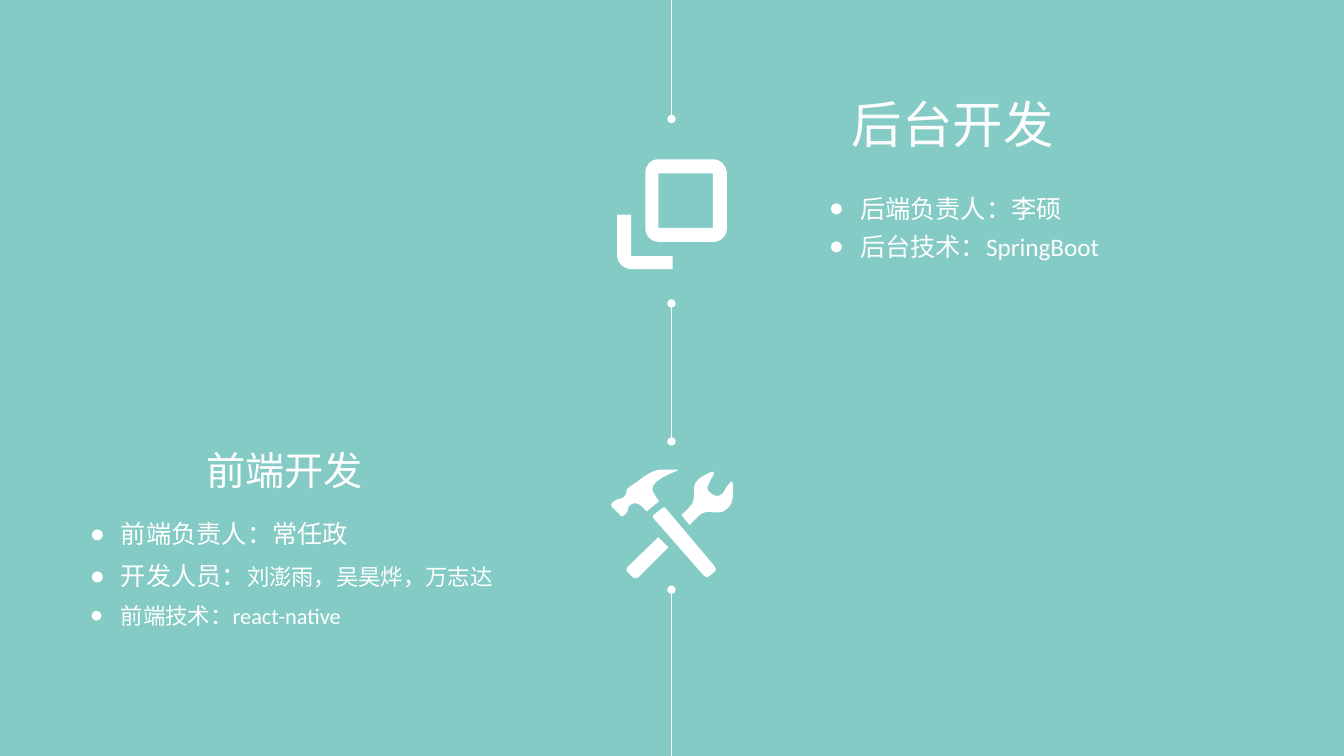
from pptx import Presentation, util as u
from pptx.dml.color import RGBColor
from pptx.enum import shapes, text
from pptx.oxml import parse_xml
from pptx.oxml.ns import nsdecls, qn
from lxml import etree

TEAL, WHITE, OFF_WHITE = "84CBC5", "FFFFFF", "FCFCFC"
AXIS_X = 6.66

# Icon outlines in hundredths of an inch: pairs are corners, sixes are curves
WINDOWS_ICON = [
    [(95, 0), (41, 0), (33, 0, 28, 6, 28, 14), (28, 68), (28, 76, 34, 82, 41, 82),
     (95, 82), (103, 82, 109, 76, 109, 68), (109, 14), (109, 7, 103, 0, 95, 0)],
    [(95, 68), (41, 68), (41, 14), (95, 14)],
    [(14, 55), (0, 55), (0, 96), (0, 103, 7, 109, 14, 109), (55, 109), (55, 96), (14, 96)],
]
TOOLS_ICON = [
    # Hammer head
    [(19, 35), (24, 31, 29, 34, 35, 41), (36, 42, 37, 41, 37, 40), (47, 32),
     (47, 32, 48, 31, 47, 30), (47, 30, 44, 27, 43, 24), (32, 10, 73, 0, 66, 0), (48, 0),
     (40, 1, 31, 8, 26, 12), (19, 16, 17, 19, 16, 19), (15, 21, 16, 24, 13, 27),
     (9, 30, 7, 28, 5, 30), (1, 33), (0, 34, 0, 35, 0, 36), (9, 45),
     (9, 46, 11, 47, 12, 46), (13, 45, 16, 43, 16, 42), (17, 42, 16, 37, 19, 35)],
    # Hammer handle
    [(54, 38), (53, 37, 52, 37, 51, 38), (42, 45), (42, 46, 41, 47, 42, 48), (92, 105),
     (94, 107, 96, 107, 97, 106), (103, 101), (104, 100, 105, 98, 103, 96)],
    # Wrench head
    [(121, 14), (120, 11, 119, 11, 118, 13), (117, 14, 113, 19, 112, 22),
     (110, 24, 107, 29, 100, 24), (93, 19, 96, 16, 97, 14), (98, 11, 102, 5, 102, 4),
     (103, 3, 102, 1, 100, 2), (98, 3, 85, 8, 83, 15), (81, 23, 85, 30, 78, 37), (70, 45),
     (78, 55), (88, 45), (90, 43, 95, 41, 100, 42), (110, 44, 116, 40, 119, 34),
     (122, 28, 121, 17, 121, 14)],
    # Wrench handle
    [(16, 97), (15, 98, 15, 100, 16, 101), (22, 107), (23, 108, 25, 108, 27, 107),
     (57, 77), (47, 67)],
]


def rgb(value):
    return RGBColor.from_string(value)


def place(sp, box):
    sp.left, sp.top, sp.width, sp.height = (u.Inches(v) for v in box)


def add_run(p, words, size, color=WHITE, font="Calibri"):
    r = p.add_run()
    r.text = words
    r.font.size, r.font.name = u.Pt(size), font
    r.font.color.rgb = rgb(color)


def add_heading(sp, box, words, size, color, font, align):
    place(sp, box)
    tf = sp.text_frame
    tf.word_wrap, tf.auto_size = True, text.MSO_AUTO_SIZE.NONE
    tf.vertical_anchor = text.MSO_ANCHOR.MIDDLE
    tf.paragraphs[0].alignment = align
    add_run(tf.paragraphs[0], words, size, color, font)


def add_list(sp, box, items, gap):
    """Fill a body placeholder; each item is a list of run arguments."""
    place(sp, box)
    tf = sp.text_frame
    tf.auto_size = text.MSO_AUTO_SIZE.NONE
    for i, runs in enumerate(items):
        p = tf.paragraphs[0] if i == 0 else tf.add_paragraph()
        p.line_spacing, p.space_before = 1.25, u.Pt(gap)
        pPr = p._p.get_or_add_pPr()
        pPr.set("marL", str(u.Inches(0.31)))
        pPr.set("indent", str(-u.Inches(0.31)))
        pPr.append(parse_xml('<a:buChar %s char="●"/>' % nsdecls("a")))
        for run in runs:
            add_run(p, *run)


def add_axis(s, top, bottom, **dots):
    """Draw a vertical line; dots names the ends (headEnd, tailEnd)."""
    line = s.shapes.add_connector(shapes.MSO_CONNECTOR.STRAIGHT, u.Inches(AXIS_X),
                                  u.Inches(top), u.Inches(AXIS_X), u.Inches(bottom))
    line.line.color.rgb, line.line.width = rgb(WHITE), u.Pt(0.75)
    ln = line.line._get_or_add_ln()
    for end, kind in dots.items():
        etree.SubElement(ln, qn("a:" + end), type=kind)
    etree.SubElement(line._element.spPr, qn("a:effectLst"))


def bend(sp, outlines, unit):
    """Turn the straight segments that stand for curves into cubic curves."""
    segments = list(sp._element.iter(qn("a:lnTo")))
    parts = [part for outline in outlines for part in outline[1:]]
    for segment, part in zip(segments, parts):
        if len(part) == 6:
            segment.tag = qn("a:cubicBezTo")
            for i, k in enumerate((0, 2)):
                pt = etree.Element(qn("a:pt"), x=str(part[k] * unit), y=str(part[k + 1] * unit))
                segment.insert(i, pt)


def add_icon(s, left, top, outlines):
    unit = u.Inches(0.01)
    builder = None
    for outline in outlines:
        points = [(part[-2] * unit, part[-1] * unit) for part in outline]
        if builder is None:
            builder = s.shapes.build_freeform(*points[0])
        else:
            builder.move_to(*points[0])
        builder.add_line_segments(points[1:], close=True)
    sp = builder.convert_to_shape(u.Inches(left), u.Inches(top))
    bend(sp, outlines, unit)
    sp.shadow.inherit = False
    sp.fill.solid()
    sp.fill.fore_color.rgb = rgb(WHITE)
    sp.line.fill.background()


def add_timeline(s):
    add_axis(s, 0, 1.18, tailEnd="oval")
    add_axis(s, 3.01, 4.38, headEnd="oval", tailEnd="oval")
    add_axis(s, 5.85, 7.5, headEnd="oval")
    add_icon(s, 6.12, 1.58, WINDOWS_ICON)
    add_icon(s, 6.06, 4.66, TOOLS_ICON)


def add_backend(s, left, top):
    add_heading(s.shapes.title, (left + 0.23, top - 0.01, 2.52, 0.71), "后台开发", 36,
                OFF_WHITE, "Calibri", text.PP_ALIGN.LEFT)
    add_list(s.placeholders[2], (left, top + 0.91, 3.99, 0.86), [
        [("后端负责人：李硕", 18)],
        [("后台技术：SpringBoot", 18, OFF_WHITE)],
    ], gap=0)


def add_frontend(s, left, top):
    box = s.shapes.add_textbox(0, 0, 0, 0)
    add_heading(box, (left, top, 3.15, 0.64), "前端开发", 28, WHITE,
                "Roboto", text.PP_ALIGN.RIGHT)
    add_list(s.placeholders[1], (left + 0.24, top + 0.68, 5.08, 1.31), [
        [("前端负责人：常任政", 18)],
        [("开发人员：", 18), ("刘澎雨，吴昊烨，万志达", 16, WHITE, "Noto Sans CJK SC")],
        [("前端技术：react-native", 16)],
    ], gap=3)


prs = Presentation()
prs.slide_width, prs.slide_height = u.Inches(13.33), u.Inches(7.5)
s = prs.slides.add_slide(prs.slide_layouts[3])
s.background.fill.solid()
s.background.fill.fore_color.rgb = rgb(TEAL)
add_timeline(s)
add_backend(s, 8.12, 0.88)
add_frontend(s, 0.55, 4.34)
prs.save("out.pptx")
